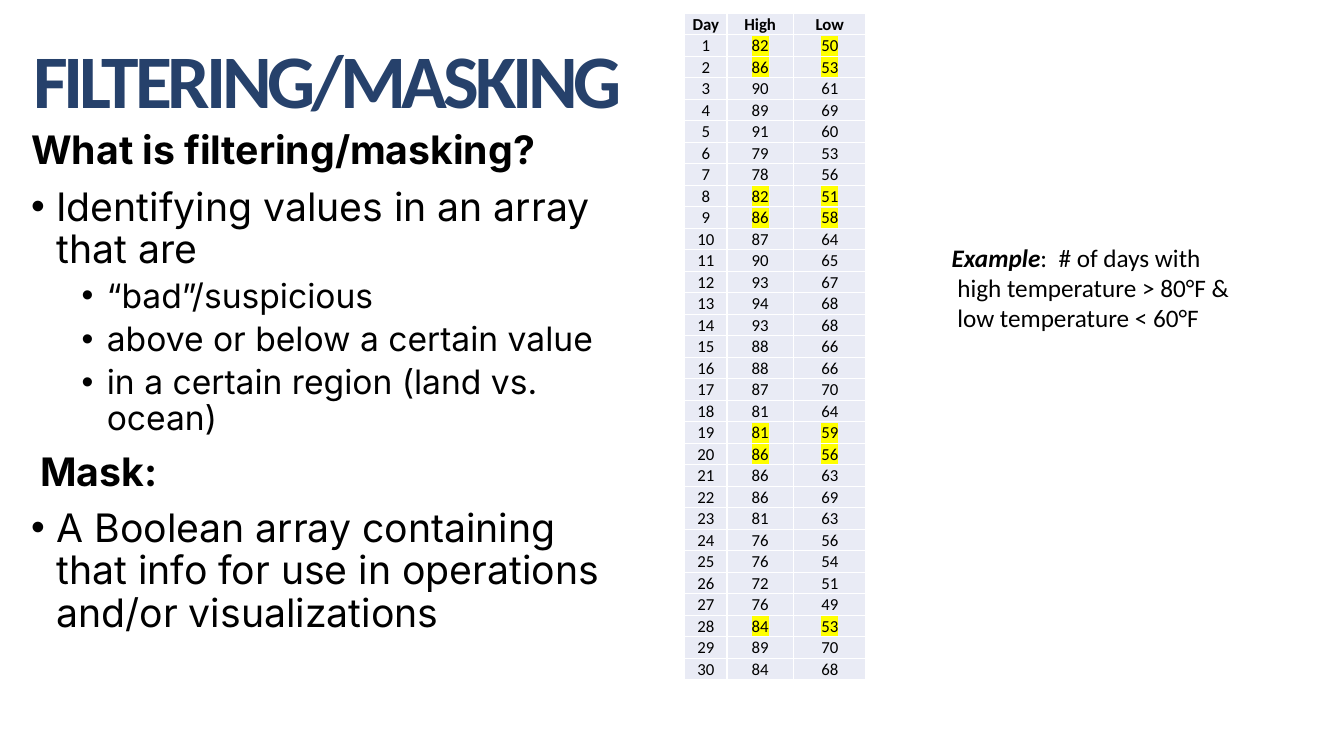
from lxml import etree
from pptx import Presentation
from pptx.dml.color import RGBColor
from pptx.enum.text import MSO_ANCHOR, MSO_AUTO_SIZE, PP_ALIGN
from pptx.oxml.ns import qn
from pptx.util import Inches, Pt

LEFT, CENTER = PP_ALIGN.LEFT, PP_ALIGN.CENTER
TOP, MIDDLE, BOTTOM = MSO_ANCHOR.TOP, MSO_ANCHOR.MIDDLE, MSO_ANCHOR.BOTTOM
NO_FIT, GROW = MSO_AUTO_SIZE.NONE, MSO_AUTO_SIZE.SHAPE_TO_FIT_TEXT

NAVY = RGBColor(0x26, 0x41, 0x6B)
BLACK = RGBColor(0, 0, 0)
CELL = RGBColor(0xE9, 0xEB, 0xF5)
WHITE = RGBColor(0xFF, 0xFF, 0xFF)
YELLOW = RGBColor(0xFF, 0xFF, 0)

HEADING, BULLET, SUB_BULLET = "heading", "bullet", "sub-bullet"
BODY = [
    (HEADING, "What is filtering/masking?"),
    (BULLET, "Identifying values in an array that are"),
    (SUB_BULLET, "“bad”/suspicious"),
    (SUB_BULLET, "above or below a certain value"),
    (SUB_BULLET, "in a certain region (land vs. ocean)"),
    (HEADING, " Mask:"),
    (BULLET, "A Boolean array containing that info for use in operations "
             "and/or visualizations"),
]
# Kind: level, size, space before, left margin, first-line indent
STYLES = {
    HEADING: (0, 28, 10, 0, 0),
    BULLET: (0, 28, 10, 0.25, -0.25),
    SUB_BULLET: (1, 24, 5, 0.75, -0.25),
}

HIGHS = [82, 86, 90, 89, 91, 79, 78, 82, 86, 87, 90, 93, 94, 93, 88,
         88, 87, 81, 81, 86, 86, 86, 81, 76, 76, 72, 76, 84, 89, 84]
LOWS = [50, 53, 61, 69, 60, 53, 56, 51, 58, 64, 65, 67, 68, 68, 66,
        66, 70, 64, 59, 56, 63, 69, 63, 56, 54, 51, 49, 53, 70, 68]
COLUMN_WIDTHS = [0.42, 0.66, 0.72]
EXAMPLE_LINES = [":  # of days with", " high temperature > 80°F &",
                 " low temperature < 60°F"]


def format_run(r, name, size, color=BLACK, bold=False, italic=False):
    r.font.name, r.font.size = name, Pt(size)
    r.font.bold, r.font.italic = bold, italic
    r.font.color.rgb = color


def place(shape, left, top, width, height):
    shape.left, shape.top = Inches(left), Inches(top)
    shape.width, shape.height = Inches(width), Inches(height)


def add_solid_fill(parent, color):
    fill = etree.SubElement(parent, qn("a:solidFill"))
    etree.SubElement(fill, qn("a:srgbClr"), val=str(color))


def set_bullet(p, margin, indent):
    pPr = p._p.get_or_add_pPr()
    pPr.set("marL", str(Inches(margin)))
    pPr.set("indent", str(Inches(indent)))
    if indent:
        etree.SubElement(pPr, qn("a:buFont"), typeface="Arial")
        etree.SubElement(pPr, qn("a:buChar"), char="•")
    else:
        etree.SubElement(pPr, qn("a:buNone"))


def highlight(r):
    mark = etree.Element(qn("a:highlight"))
    etree.SubElement(mark, qn("a:srgbClr"), val=str(YELLOW))
    r.font._element.find(qn("a:solidFill")).addnext(mark)


def set_borders(cell):
    tcPr = cell._tc.get_or_add_tcPr()
    for side in ("lnL", "lnR", "lnT", "lnB"):
        add_solid_fill(etree.SubElement(tcPr, qn(f"a:{side}"), w=str(Pt(1))), WHITE)


def fill_title(title):
    place(title, 0.23, 0.23, 12.85, 1.26)
    tf = title.text_frame
    tf.text = "FILTERING/MASKING"
    tf.auto_size, tf.vertical_anchor = NO_FIT, MIDDLE
    p = tf.paragraphs[0]
    p.alignment, p.line_spacing = LEFT, 0.8
    r = p.runs[0]
    format_run(r, "Calibri", 54, NAVY, bold=True)
    r.font._element.set("spc", "-300")


def fill_body(body):
    place(body, 0.21, 0.69, 6.15, 5.94)
    tf = body.text_frame
    tf.text = "\n".join(text for _, text in BODY)
    tf.auto_size, tf.vertical_anchor = NO_FIT, TOP
    tf.margin_top = Inches(0.61)  # keeps the list below the title
    for i, (p, (kind, _)) in enumerate(zip(tf.paragraphs, BODY)):
        level, size, before, margin, indent = STYLES[kind]
        p.level, p.alignment, p.line_spacing = level, LEFT, 0.9
        p.space_before = Pt(before if i else 0)
        set_bullet(p, margin, indent)
        format_run(p.runs[0], "Inter", size, bold=kind == HEADING)


def fill_cell(cell, text, bold, marked):
    cell.text = text
    cell.vertical_anchor = BOTTOM
    cell.margin_left = cell.margin_right = cell.margin_top = Inches(0.01)
    cell.margin_bottom = 0
    set_borders(cell)
    cell.fill.solid()
    cell.fill.fore_color.rgb = CELL
    p = cell.text_frame.paragraphs[0]
    p.alignment = CENTER
    format_run(p.runs[0], "Calibri", 12, bold=bold)
    if marked:
        highlight(p.runs[0])


def add_temperature_table(s):
    days = list(zip(range(1, len(HIGHS) + 1), HIGHS, LOWS))
    rows = [("Day", "High", "Low")] + days
    table = s.shapes.add_table(len(rows), 3, Inches(6.79), Inches(0.13),
                               Inches(1.8), Inches(6.39)).table
    for column, width in zip(table.columns, COLUMN_WIDTHS):
        column.width = Inches(width)
    for i, row in enumerate(rows):
        masked = i > 0 and row[1] > 80 and row[2] < 60
        for j, value in enumerate(row):
            fill_cell(table.cell(i, j), str(value), i == 0, masked and j > 0)


def add_example(s):
    box = s.shapes.add_textbox(Inches(9.34), Inches(2.35), Inches(3.22), Inches(1.01))
    tf = box.text_frame
    tf.word_wrap, tf.auto_size = True, GROW
    p = tf.paragraphs[0]
    r = p.add_run()
    r.text = "Example"
    format_run(r, "Calibri", 18, bold=True, italic=True)
    for i, line in enumerate(EXAMPLE_LINES):
        if i:
            p.add_line_break()
        r = p.add_run()
        r.text = line
        format_run(r, "Calibri", 18)


def main():
    prs = Presentation()
    prs.slide_width, prs.slide_height = Inches(13.33), Inches(7.5)
    s = prs.slides.add_slide(prs.slide_layouts[1])
    # Title and explanation
    fill_title(s.shapes.title)
    fill_body(s.placeholders[1])
    # Temperatures and the masking example
    add_temperature_table(s)
    add_example(s)
    prs.save("out.pptx")


main()
